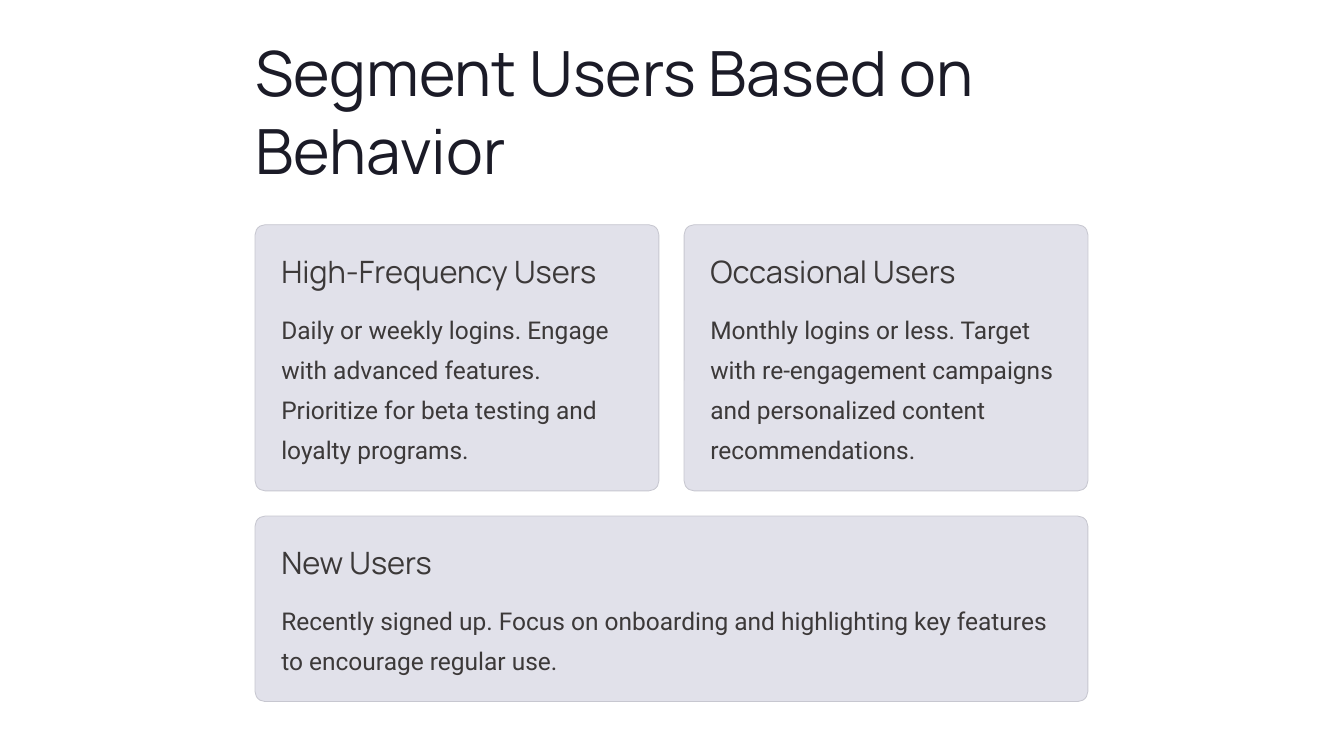
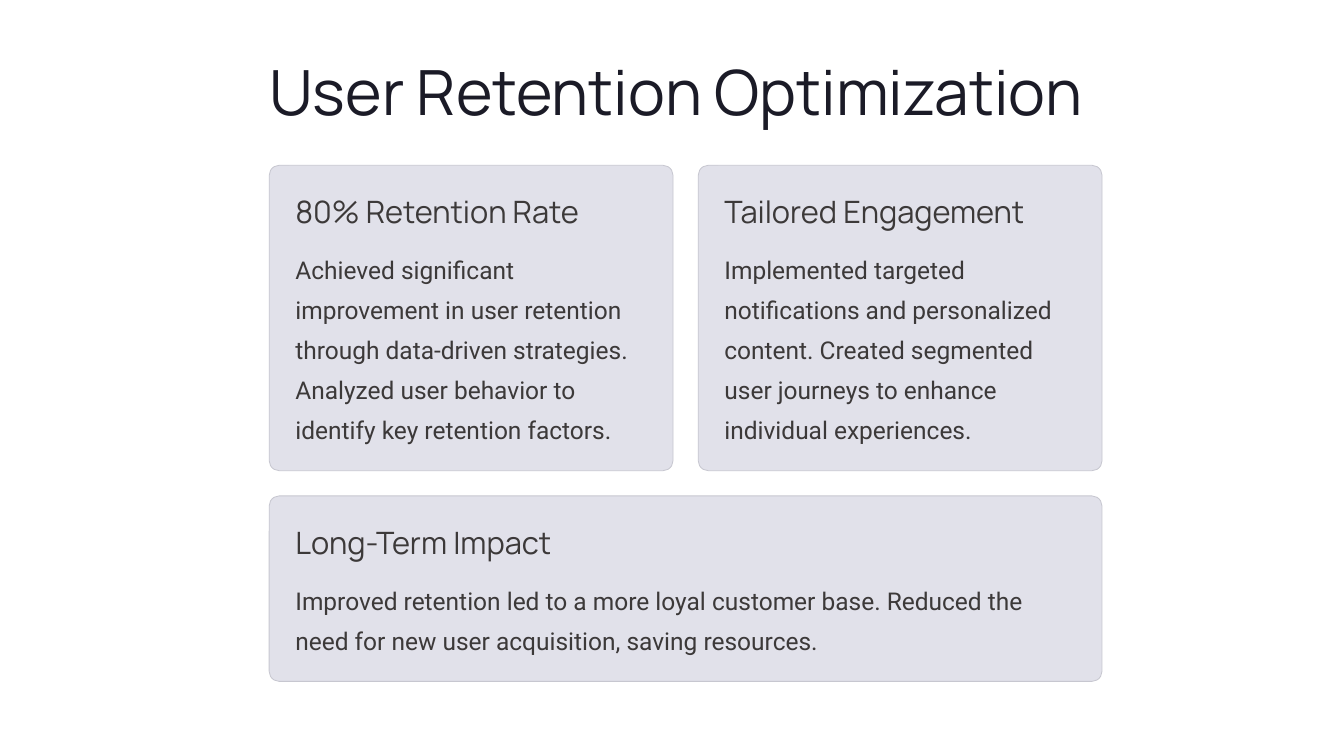
from pptx import Presentation
from pptx.dml.color import RGBColor
from pptx.enum.shapes import MSO_SHAPE
from pptx.enum.text import MSO_ANCHOR, MSO_AUTO_SIZE, PP_ALIGN
from pptx.util import Inches, Pt

INK, TEXT, PANEL, EDGE = "1B1B27", "3C3939", "E1E1EA", "C7C7D0"
WIDTH, GAP, PAD, RADIUS = 8.26, 0.25, 0.26, 0.1
HEAD_H, BODY_TOP, WIDE_H = 0.39, 0.79, 1.84

TITLE = {"name": "Manrope", "size": 44.5, "color": INK, "spacing": 55.5}
HEADING = {"name": "Manrope", "size": 22, "color": TEXT, "spacing": 27.5}
BODY = {"name": "Roboto", "size": 17.5, "color": TEXT, "spacing": 28.5}

SLIDES = [
    {
        "title": "Segment Users Based on Behavior",
        "title_box": (2.53, 0.31, WIDTH, 1.55),
        "top": 2.23,
        "column_h": 2.64,
        "cards": [
            ("High-Frequency Users",
             "Daily or weekly logins. Engage with advanced features. "
             "Prioritize for beta testing and loyalty programs."),
            ("Occasional Users",
             "Monthly logins or less. Target with re-engagement campaigns "
             "and personalized content recommendations."),
            ("New Users",
             "Recently signed up. Focus on onboarding and highlighting key "
             "features to encourage regular use."),
        ],
    },
    {
        "title": "User Retention Optimization",
        "title_box": (2.67, 0.5, WIDTH, 0.78),
        "top": 1.64,
        "column_h": 3.03,
        "cards": [
            ("80% Retention Rate",
             "Achieved significant improvement in user retention through "
             "data-driven strategies. Analyzed user behavior to identify "
             "key retention factors."),
            ("Tailored Engagement",
             "Implemented targeted notifications and personalized content. "
             "Created segmented user journeys to enhance individual "
             "experiences."),
            ("Long-Term Impact",
             "Improved retention led to a more loyal customer base. Reduced "
             "the need for new user acquisition, saving resources."),
        ],
    },
]


def rgb(value):
    """Return the colour for a hex string."""
    return RGBColor.from_string(value)


class Deck:
    """Hold the presentation, its style and the current slide."""

    def __init__(self):
        """Start a widescreen presentation."""
        self.prs = Presentation()
        self.prs.slide_width = Inches(13.33)
        self.prs.slide_height = Inches(7.5)
        self.s = None

    def fill_text(self, tf, text, style):
        """Fill a text frame with one styled paragraph."""
        frame = {"margin_left": 0, "margin_top": 0, "margin_right": 0,
                 "margin_bottom": 0, "word_wrap": True,
                 "auto_size": MSO_AUTO_SIZE.NONE,
                 "vertical_anchor": MSO_ANCHOR.TOP}
        for key, value in frame.items():
            setattr(tf, key, value)
        p = tf.paragraphs[0]
        p.alignment = PP_ALIGN.LEFT
        p.line_spacing = Pt(style["spacing"])
        r = p.add_run()
        r.text = text
        r.font.name = style["name"]
        r.font.size = Pt(style["size"])
        r.font.color.rgb = rgb(style["color"])

    def slide(self, title, box):
        """Add a slide and place its title."""
        self.s = self.prs.slides.add_slide(self.prs.slide_layouts[5])
        sp = self.s.shapes.title
        for key, value in zip(("left", "top", "width", "height"), box):
            setattr(sp, key, Inches(value))
        self.fill_text(sp.text_frame, title, TITLE)

    def text(self, x, y, w, h, text, style):
        """Add a text box."""
        sp = self.s.shapes.add_textbox(*map(Inches, (x, y, w, h)))
        self.fill_text(sp.text_frame, text, style)

    def card(self, x, y, w, h, heading, body):
        """Add a rounded panel with a heading and a body text."""
        sp = self.s.shapes.add_shape(MSO_SHAPE.ROUNDED_RECTANGLE,
                                     *map(Inches, (x, y, w, h)))
        sp.adjustments[0] = RADIUS / min(w, h)
        sp.shadow.inherit = False
        sp.fill.solid()
        sp.fill.fore_color.rgb = rgb(PANEL)
        sp.line.color.rgb = rgb(EDGE)
        sp.line.width = Pt(0.6)
        inner = w - 2 * PAD
        self.text(x + PAD, y + PAD, inner, HEAD_H, heading, HEADING)
        self.text(x + PAD, y + BODY_TOP, inner, h - BODY_TOP - PAD, body, BODY)

    def cards(self, x, y, column_h, cards):
        """Lay out two columns with a wide card below."""
        column_w = (WIDTH - GAP) / 2
        for i, card in enumerate(cards[:2]):
            self.card(x + i * (column_w + GAP), y, column_w, column_h, *card)
        self.card(x, y + column_h + GAP, WIDTH, WIDE_H, *cards[2])


def main():
    """Build and save the slides."""
    deck = Deck()
    for item in SLIDES:
        deck.slide(item["title"], item["title_box"])
        deck.cards(item["title_box"][0], item["top"], item["column_h"],
                   item["cards"])
    deck.prs.save("out.pptx")


if __name__ == "__main__":
    main()
